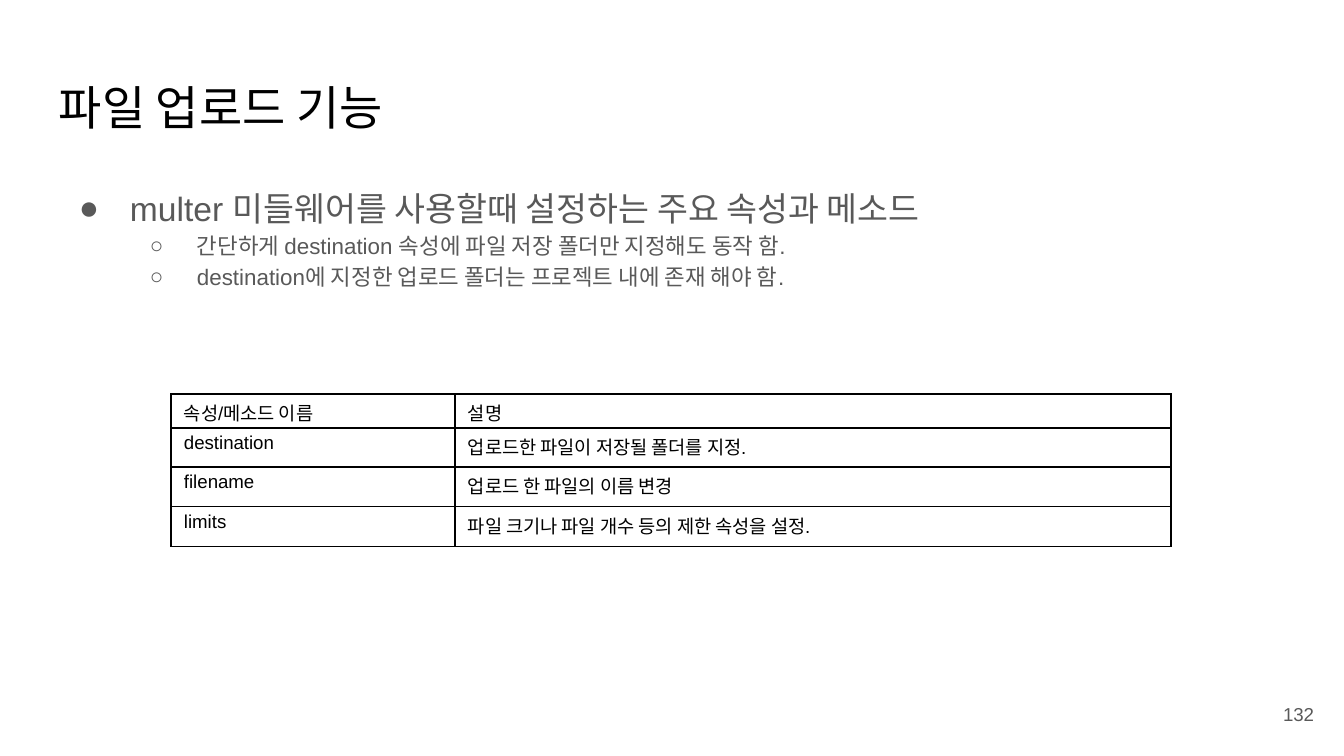
import pptx
import pptx.dml.color
import pptx.enum.text
import pptx.oxml.ns
import pptx.util
from lxml import etree

PX_PER_INCH = 134.4
BLACK = "000000"
GRAY = "595959"

BULLETS = [
    (0, "multer 미들웨어를 사용할때 설정하는 주요 속성과 메소드"),
    (1, "간단하게 destination 속성에 파일 저장 폴더만 지정해도 동작 함."),
    (1, "destination에 지정한 업로드 폴더는 프로젝트 내에 존재 해야 함."),
]
# Per outline level: symbol, text size, left margin and hanging indent in px
LEVELS = [("●", 18, 67, -51), ("○", 12, 134, -47)]

MULTER_OPTIONS = [
    ("속성/메소드 이름", "설명"),
    ("destination", "업로드한 파일이 저장될 폴더를 지정."),
    ("filename", "업로드 한 파일의 이름 변경"),
    ("limits", "파일 크기나 파일 개수 등의 제한 속성을 설정."),
]


def px(length):
    return pptx.util.Emu(round(length * 914400 / PX_PER_INCH))


def rgb(color):
    return pptx.dml.color.RGBColor.from_string(color)


def add_xml(parent, tag, **attributes):
    return etree.SubElement(parent, pptx.oxml.ns.qn(tag), attributes)


class SlideWriter:
    def __init__(self, slide, font="Arial"):
        self.slide = slide
        self.font = font

    def style(self, paragraph, size, color):
        font = paragraph.font
        font.name = self.font
        font.size = pptx.util.Pt(size)
        font.color.rgb = rgb(color)

    def frame(self, left, top, width, height):
        """Add a wrapping text box with equal insets and return its frame."""
        box = self.slide.shapes.add_textbox(px(left), px(top), px(width), px(height))
        frame = box.text_frame
        frame.word_wrap = True
        frame.margin_left = frame.margin_right = px(13)
        frame.margin_top = frame.margin_bottom = px(13)
        return frame

    def text(self, bounds, words, size, color, align=None, anchor=None):
        frame = self.frame(*bounds)
        frame.vertical_anchor = anchor
        line = frame.paragraphs[0]
        line.text = words
        line.alignment = align
        self.style(line, size, color)

    def bullets(self, bounds, items, color):
        frame = self.frame(*bounds)
        for index, (level, words) in enumerate(items):
            symbol, size, margin, indent = LEVELS[level]
            item = frame.add_paragraph() if index else frame.paragraphs[0]
            item.text = words
            item.level = level
            item.line_spacing = 1.15
            properties = item._p.get_or_add_pPr()
            properties.set("marL", str(px(margin)))
            properties.set("indent", str(px(indent)))
            add_xml(add_xml(properties, "a:buClr"), "a:srgbClr", val=color)
            add_xml(properties, "a:buFont", typeface=self.font)
            add_xml(properties, "a:buChar", char=symbol)
            self.style(item, size, color)

    def borders(self, cell, color, points):
        properties = cell._tc.get_or_add_tcPr()
        for side in ("a:lnL", "a:lnR", "a:lnT", "a:lnB"):
            line = add_xml(properties, side, w=str(pptx.util.Pt(points)))
            add_xml(add_xml(line, "a:solidFill"), "a:srgbClr", val=color)

    def table(self, left, top, widths, heights, rows, size, color):
        table = self.slide.shapes.add_table(
            len(heights), len(widths), px(left), px(top),
            px(sum(widths)), px(sum(heights))).table
        table.first_row = table.horz_banding = False
        for column, width in zip(table.columns, widths):
            column.width = px(width)
        for row, height, texts in zip(table.rows, heights, rows):
            row.height = px(height)
            for cell, words in zip(row.cells, texts):
                cell.text = words
                cell.margin_left = cell.margin_right = px(13)
                cell.margin_top = cell.margin_bottom = px(5)
                self.borders(cell, color, 0.75)
                cell.fill.background()
                self.style(cell.text_frame.paragraphs[0], size, color)


def main():
    deck = pptx.Presentation()
    deck.slide_width, deck.slide_height = px(1344), px(756)
    writer = SlideWriter(deck.slides.add_slide(deck.slide_layouts[6]))
    writer.text((46, 66, 1253, 85), "파일 업로드 기능", 25.2, BLACK)
    writer.bullets((50, 169, 1253, 202), BULLETS, GRAY)
    writer.text((1246, 685, 81, 58), "132", 10, GRAY,
                align=pptx.enum.text.PP_ALIGN.RIGHT,
                anchor=pptx.enum.text.MSO_ANCHOR.MIDDLE)
    writer.table(171, 394, [284, 716], [34, 39, 40, 40], MULTER_OPTIONS, 10, BLACK)
    deck.save("out.pptx")


if __name__ == "__main__":
    main()
